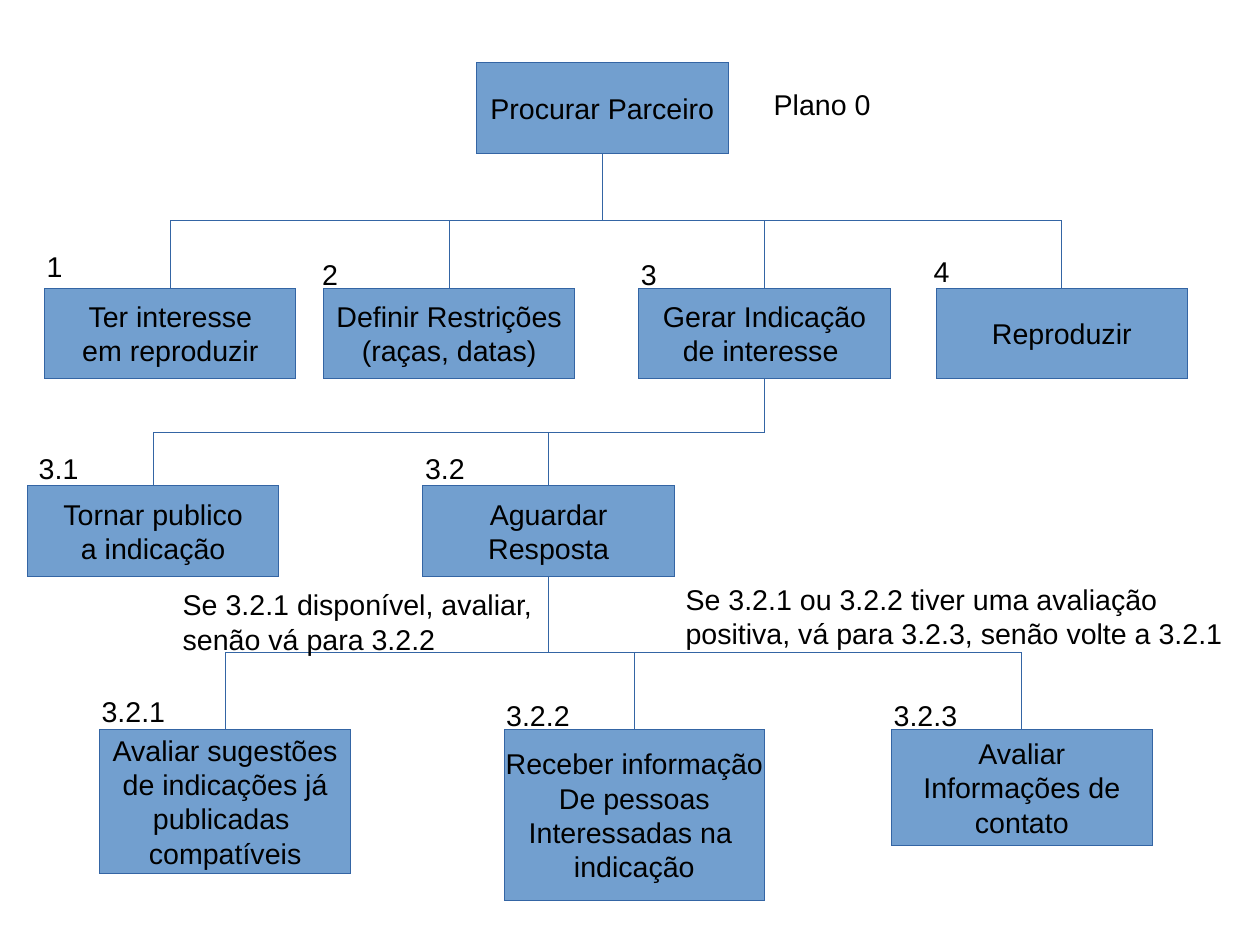
from lxml.etree import SubElement
from pptx import Presentation
from pptx.dml.color import RGBColor
from pptx.enum.shapes import MSO_CONNECTOR as Link, MSO_SHAPE as Shape
from pptx.enum.text import MSO_ANCHOR as Anchor, MSO_AUTO_SIZE as Fit, PP_ALIGN as Align
from pptx.oxml.ns import qn
from pptx.util import Inches, Pt

CM_PER_INCH = 2.54
SLIDE_W, SLIDE_H = 28 / CM_PER_INCH, 21 / CM_PER_INCH
COLORS = {"box": "729FCF", "line": "3465A4", "text": "000000"}
BOX_W, BOX_H = 2.2, 0.79
WIDE_W = 2.28
TASKS = {
    "0": ("Procurar Parceiro", 4.17, 0.55, BOX_W, BOX_H),
    "1": ("Ter interesse\nem reproduzir", 0.39, 2.52, BOX_W, BOX_H),
    "2": ("Definir Restrições\n(raças, datas)", 2.83, 2.52, BOX_W, BOX_H),
    "3": ("Gerar Indicação\nde interesse ", 5.59, 2.52, BOX_W, BOX_H),
    "4": ("Reproduzir", 8.19, 2.52, BOX_W, BOX_H),
    "3.1": ("Tornar publico\na indicação", 0.24, 4.25, BOX_W, BOX_H),
    "3.2": ("Aguardar\nResposta", 3.7, 4.25, BOX_W, BOX_H),
    "3.2.1": ("Avaliar sugestões\nde indicações já\npublicadas \ncompatíveis", 0.87, 6.38, BOX_W, 1.26),
    "3.2.2": ("Receber informação\nDe pessoas\nInteressadas na \nindicação", 4.41, 6.38, WIDE_W, 1.5),
    "3.2.3": ("Avaliar\nInformações de\ncontato", 7.8, 6.38, WIDE_W, 1.02),
}
SUBTASKS = {
    "0": ("1", "2", "3", "4"),
    "3": ("3.1", "3.2"),
    "3.2": ("3.2.1", "3.2.2", "3.2.3"),
}
LABELS = [
    ("Plano 0", 6.67, 0.71, 1.05, 0.38),
    ("1", 0.31, 2.13, 0.34, 0.38),
    ("2", 2.72, 2.2, 0.34, 0.38),
    ("3", 5.51, 2.2, 0.34, 0.38),
    ("4", 8.07, 2.17, 0.34, 0.38),
    ("3.1", 0.24, 3.9, 0.55, 0.38),
    ("3.2", 3.62, 3.9, 0.55, 0.38),
    ("3.2.1", 0.79, 6.02, 0.79, 0.39),
    ("3.2.2", 4.33, 6.06, 0.79, 0.39),
    ("3.2.3", 7.72, 6.06, 0.79, 0.39),
    ("Se 3.2.1 disponível, avaliar,\nsenão vá para 3.2.2", 1.5, 5.09, 3.32, 0.66),
    ("Se 3.2.1 ou 3.2.2 tiver uma avaliação\npositiva, vá para 3.2.3, senão volte a 3.2.1",
     5.9, 5.04, 4.9, 0.66),
]


def color(name):
    return RGBColor.from_string(COLORS[name])


def write(frame, wording, align):
    frame.text = wording
    frame.word_wrap = False
    for paragraph in frame.paragraphs:
        paragraph.alignment = align
        paragraph.font.name = "Arial"
        paragraph.font.size = Pt(18)
        paragraph.font.color.rgb = color("text")


def outline(part):
    part.line.color.rgb = color("line")
    part._element.spPr.find(qn("a:ln")).set("w", "0")


def add_task(slide, wording, *place):
    task = slide.shapes.add_shape(Shape.RECTANGLE, *map(Inches, place))
    task.shadow.inherit = False
    task.fill.solid()
    task.fill.fore_color.rgb = color("box")
    outline(task)
    task.text_frame.vertical_anchor = Anchor.MIDDLE
    write(task.text_frame, wording, Align.CENTER)
    return task


def add_label(slide, wording, *place):
    frame = slide.shapes.add_textbox(*map(Inches, place)).text_frame
    write(frame, wording, Align.LEFT)
    frame.auto_size = Fit.SHAPE_TO_FIT_TEXT


def add_branch(slide, parent, child):
    branch = slide.shapes.add_connector(Link.ELBOW, 0, 0, 0, 0)
    branch.begin_connect(parent, 2)
    branch.end_connect(child, 0)
    start_x, start_y = parent.left + parent.width // 2, parent.top + parent.height
    end_x, end_y = child.left + child.width // 2, child.top
    drop, reach = end_y - start_y, abs(end_x - start_x)
    branch.left = (start_x + end_x - drop) // 2
    branch.top = (start_y + end_y - reach) // 2
    branch.width, branch.height = drop, reach
    goes_right = end_x > start_x
    properties = branch._element.spPr
    frame = properties.find(qn("a:xfrm"))
    frame.set("rot", str((270 if goes_right else 90) * 60000))
    frame.set("flipH", "1" if goes_right else "0")
    outline(branch)
    SubElement(properties, qn("a:effectLst"))


def main():
    deck = Presentation()
    deck.slide_width, deck.slide_height = Inches(SLIDE_W), Inches(SLIDE_H)
    slide = deck.slides.add_slide(deck.slide_layouts[6])
    tasks = {number: add_task(slide, *task) for number, task in TASKS.items()}
    for parent, children in SUBTASKS.items():
        for child in children:
            add_branch(slide, tasks[parent], tasks[child])
    for label in LABELS:
        add_label(slide, *label)
    deck.save("out.pptx")


if __name__ == "__main__":
    main()
